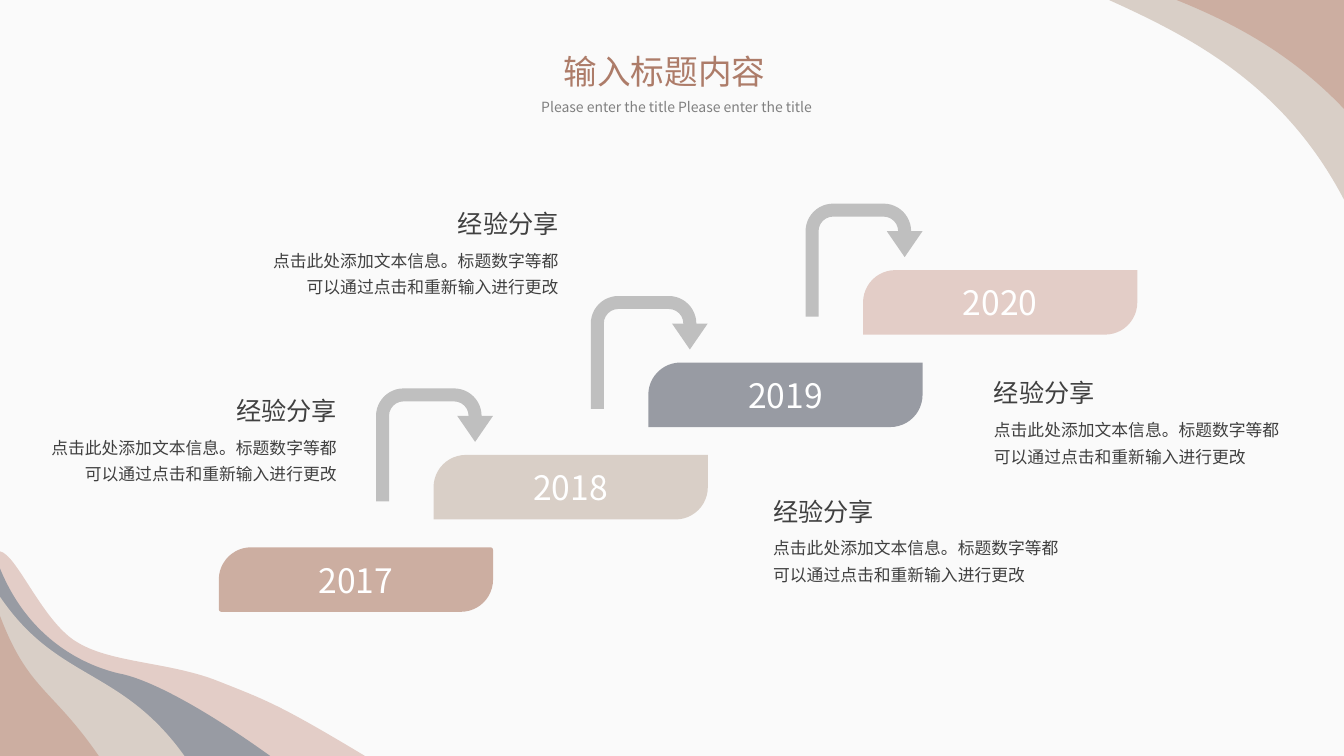
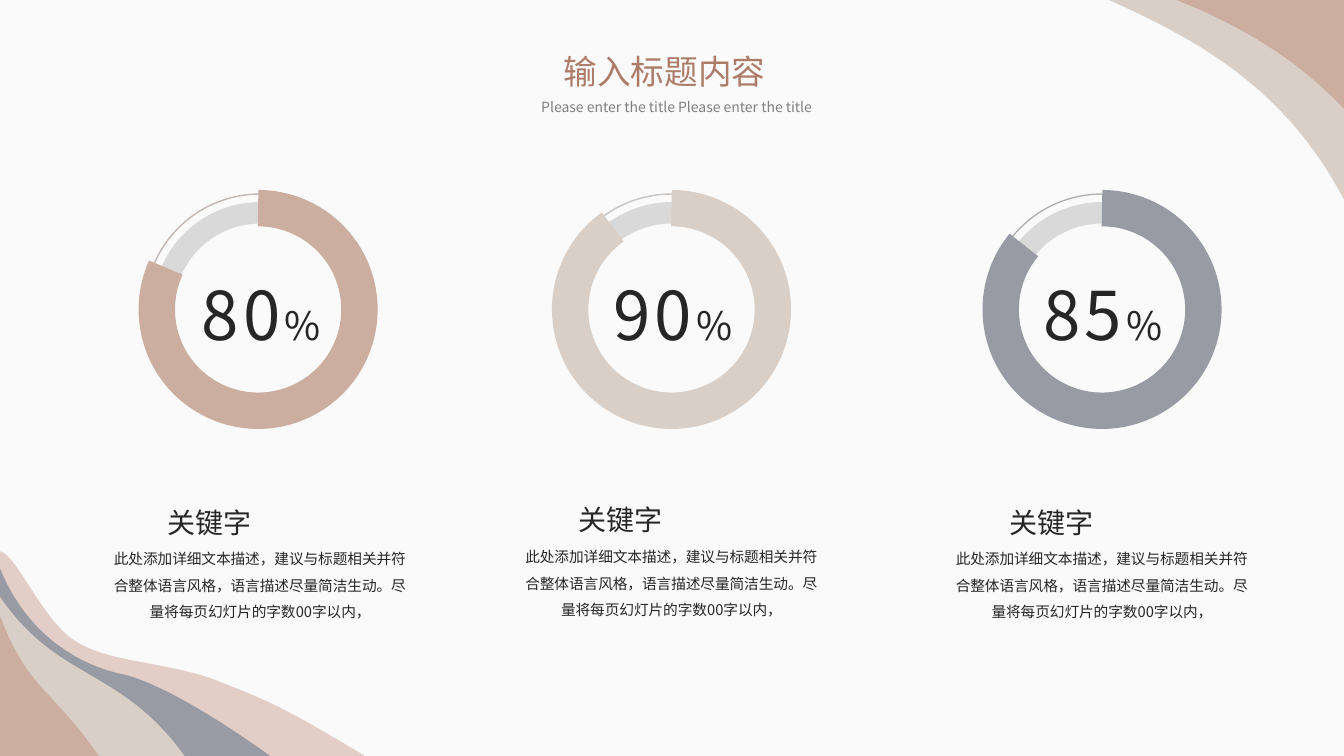
from lxml.etree import SubElement
from pptx import Presentation
from pptx.dml.color import RGBColor
from pptx.enum.shapes import MSO_SHAPE
from pptx.enum.text import MSO_ANCHOR, MSO_AUTO_SIZE, PP_ALIGN
from pptx.oxml.ns import qn
from pptx.util import Inches, Pt

# Shared style
FONT = "Noto Sans CJK SC"
COLORS = {
    "bg": "FAFAFA", "clay": "CCAEA1", "sand": "D9CFC7", "slate": "989BA3",
    "rose": "E3CDC7", "title": "AD7C69", "subtitle": "808080", "white": "FFFFFF",
    "text": "404040", "dark": "262626", "arrow": "BFBFBF", "track": "D9D9D9",
}
TITLE = "输入标题内容"
SUBTITLE = "Please enter the title Please enter the title"

# Corner waves: colour, corner, start of the edge, Bezier points in threes
WAVES = [
    ("sand", (13.33, 0), (13.33, 1.98), [(12.74, 0.85), (11.84, 0.38), (11, 0)]),
    ("rose", (0, 7.5), (0, 5.47), [(0.17, 5.5), (0.43, 6.19), (0.78, 6.38),
                                   (1.12, 6.58), (1.7, 6.57), (2.17, 6.76),
                                   (2.65, 6.95), (2.77, 6.99), (3.62, 7.5)]),
    ("slate", (0, 7.5), (0, 5.64), [(0.31, 6.4), (0.92, 6.63), (1.22, 6.69),
                                    (1.52, 6.76), (2.04, 7.04), (2.68, 7.5)]),
    ("sand", (0, 7.5), (0, 5.92), [(0.57, 6.76), (1.2, 6.62), (1.83, 7.5)]),
    ("clay", (0, 7.5), (0, 6.11), [(0.28, 6.85), (0.52, 6.83), (0.98, 7.5)]),
    ("clay", (0, 7.5), (0, 6.58), [(0.19, 7), (0.33, 7.21), (0.69, 7.5)]),
    ("clay", (13.33, 0), (13.33, 1.08), [(12.79, 0.51), (12.19, 0.21), (11.67, 0)]),
]

# Slide 1: stairs of years, and notes as left, top of head, top of body, alignment
STEPS = [("2017", "clay"), ("2018", "sand"), ("2019", "slate"), ("2020", "rose")]
NOTE_HEAD = "经验分享"
NOTE_BODY = "点击此处添加文本信息。标题数字等都可以通过点击和重新输入进行更改"
NOTE_W, HEAD_W = 3.14, 1.21
NOTES = [
    (7.57, 4.87, 5.23, PP_ALIGN.LEFT), (9.76, 3.69, 4.06, PP_ALIGN.LEFT),
    (2.5, 2.02, 2.38, PP_ALIGN.RIGHT), (0.3, 3.87, 4.23, PP_ALIGN.RIGHT),
]

# Slide 2: number, colour, ring centre, arc centre, arc end in degrees,
# top of the keyword, top of the description
RINGS = [
    ("80", "clay", 2.58, 2.56, 204.4, 4.8, 5.37),
    ("90", "sand", 6.66, 6.66, 234.55, 4.77, 5.35),
    ("85", "slate", 10.93, 10.93, 219.53, 4.8, 5.37),
]
RING_Y = 3.07
KEYWORD = "关键字"
KEY_BODY = ("此处添加详细文本描述，建议与标题相关并符合整体语言风格，"
            "语言描述尽量简洁生动。尽量将每页幻灯片的字数00字以内，")


def rgb(name):
    return RGBColor.from_string(COLORS[name])


def write(tf, text, size=12, color="text", align=PP_ALIGN.LEFT, spacing=1.0,
          anchor=MSO_ANCHOR.TOP, inset=None, track=0, wrap=True, grow=True):
    """Fill a frame with one paragraph; text is a string or (string, size) runs."""
    tf.word_wrap = wrap
    tf.auto_size = MSO_AUTO_SIZE.SHAPE_TO_FIT_TEXT if grow else MSO_AUTO_SIZE.NONE
    tf.vertical_anchor = anchor
    if inset is not None:
        tf.margin_left = tf.margin_right = tf.margin_top = tf.margin_bottom = Inches(inset)
    p = tf.paragraphs[0]
    p.alignment = align
    p.line_spacing = spacing
    for part, part_size in [(text, size)] if isinstance(text, str) else text:
        r = p.add_run()
        r.text = part
        r.font.size = Pt(part_size)
        r.font.name = FONT
        r.font.color.rgb = rgb(color)
        rPr = r.font._element
        if track:
            rPr.set("spc", str(track * 100))
        SubElement(rPr, qn("a:ea")).set("typeface", FONT)


def add_text(slide, x, y, w, h, text, **fmt):
    box = slide.shapes.add_textbox(Inches(x), Inches(y), Inches(w), Inches(h))
    write(box.text_frame, text, **fmt)


def paint(sp, fill=None, line=None, width=1):
    sp.shadow.inherit = False
    if fill:
        sp.fill.solid()
        sp.fill.fore_color.rgb = rgb(fill)
    else:
        sp.fill.background()
    if line:
        sp.line.color.rgb = rgb(line)
        sp.line.width = Pt(width)
    else:
        sp.line.fill.background()


def add_shape(slide, kind, x, y, w, h, adj=(), **look):
    sp = slide.shapes.add_shape(kind, Inches(x), Inches(y), Inches(w), Inches(h))
    for i, value in enumerate(adj):
        sp.adjustments[i] = value
    paint(sp, **look)
    return sp


def add_circle(slide, kind, cx, diameter, **kw):
    return add_shape(slide, kind, cx - diameter / 2, RING_Y - diameter / 2,
                     diameter, diameter, **kw)


def add_wave(slide, color, corner, start, curve):
    builder = slide.shapes.build_freeform(Inches(corner[0]), Inches(corner[1]))
    builder.add_line_segments([(Inches(x), Inches(y)) for x, y in [start] + curve],
                              close=True)
    sp = builder.convert_to_shape()
    # Turn each three points after the straight edge into one Bezier curve
    lines = list(sp.element.iter(qn("a:lnTo")))[1:len(curve) + 1]
    for i in range(0, len(lines), 3):
        trio = lines[i:i + 3]
        path = trio[0].getparent()
        bezier = SubElement(path, qn("a:cubicBezTo"))
        path.insert(path.index(trio[0]), bezier)
        for line in trio:
            bezier.append(line[0])
            path.remove(line)
    paint(sp, fill=color)
    return sp


def set_up_layout(layout, slide):
    """Give the layout its background and waves, drawn by way of a slide."""
    layout.background.fill.solid()
    layout.background.fill.fore_color.rgb = rgb("bg")
    tree = layout.shapes.element
    for ph in list(layout.placeholders)[1:]:
        tree.remove(ph.element)
    for sp in [add_wave(slide, *wave) for wave in WAVES]:
        tree.append(sp.element)


def add_header(slide):
    title = slide.shapes.title
    title.left, title.top = Inches(5.49), Inches(0.45)
    title.width, title.height = Inches(2.33), Inches(0.5)
    write(title.text_frame, TITLE, size=24, color="title")
    add_text(slide, 5.27, 0.84, 3.4, 0.35, SUBTITLE, size=10, color="subtitle", spacing=1.5)


def build_stairs(slide):
    add_header(slide)
    rise = (5.43 - 2.68) / (len(STEPS) - 1)
    for i, (year, color) in enumerate(STEPS):
        x, y = 2.17 + 2.13 * i, 5.43 - rise * i
        # Arrow that leads up to this step
        if i:
            add_shape(slide, MSO_SHAPE.U_TURN_ARROW, x - 0.57, y - 0.66, 1.16, 1.12,
                      adj=(0.115, 0.158, 0.23, 0.244, 0.474), fill="arrow")
        bar = add_shape(slide, MSO_SHAPE.ROUND_2_DIAG_RECTANGLE, x, y, 2.72, 0.64,
                        adj=(0.5, 0 if i else 0.04), fill=color)
        write(bar.text_frame, year, size=24, color="white", align=PP_ALIGN.CENTER,
              anchor=MSO_ANCHOR.MIDDLE, grow=False)
    for x, head_y, body_y, align in NOTES:
        head_x = x + NOTE_W - HEAD_W if align == PP_ALIGN.RIGHT else x
        add_text(slide, x, body_y, NOTE_W, 0.6, NOTE_BODY, align=align, spacing=1.3)
        add_text(slide, head_x, head_y, HEAD_W, 0.4, NOTE_HEAD, size=18, align=align,
                 wrap=False)


def build_rings(slide):
    add_header(slide)
    for number, color, cx, arc_x, end, key_y, body_y in RINGS:
        add_circle(slide, MSO_SHAPE.OVAL, cx, 2.29, line="arrow")
        add_circle(slide, MSO_SHAPE.DONUT, cx, 2.13, adj=(0.1,), fill="track")
        add_text(slide, cx - 0.58, 2.71, 1.35, 0.81, [(number, 48), ("%", 28)],
                 color="dark", inset=0, track=3)
        # Arc angles are stored in 60000ths of a degree, adjustments in 100000ths
        add_circle(slide, MSO_SHAPE.ARC, arc_x, 2.01, adj=(270 * 0.6, end * 0.6),
                   line=color, width=26)
        add_circle(slide, MSO_SHAPE.OVAL, cx, 2.29, line=color, width=0.25)
        # Keyword and description
        add_text(slide, cx - 1.02, key_y, 2.06, 0.54, KEYWORD, size=20, color="dark",
                 align=PP_ALIGN.JUSTIFY, spacing=1.5)
        add_text(slide, cx - 1.52, body_y, 3.04, 0.48, KEY_BODY, size=10.5, color="dark",
                 align=PP_ALIGN.CENTER, spacing=1.5, inset=0, grow=False)


def main():
    prs = Presentation()
    prs.slide_width, prs.slide_height = Inches(13.33), Inches(7.5)
    layout = prs.slide_layouts[5]
    stairs, rings = [prs.slides.add_slide(layout) for _ in range(2)]
    set_up_layout(layout, stairs)
    build_stairs(stairs)
    build_rings(rings)
    prs.save("out.pptx")


if __name__ == "__main__":
    main()
